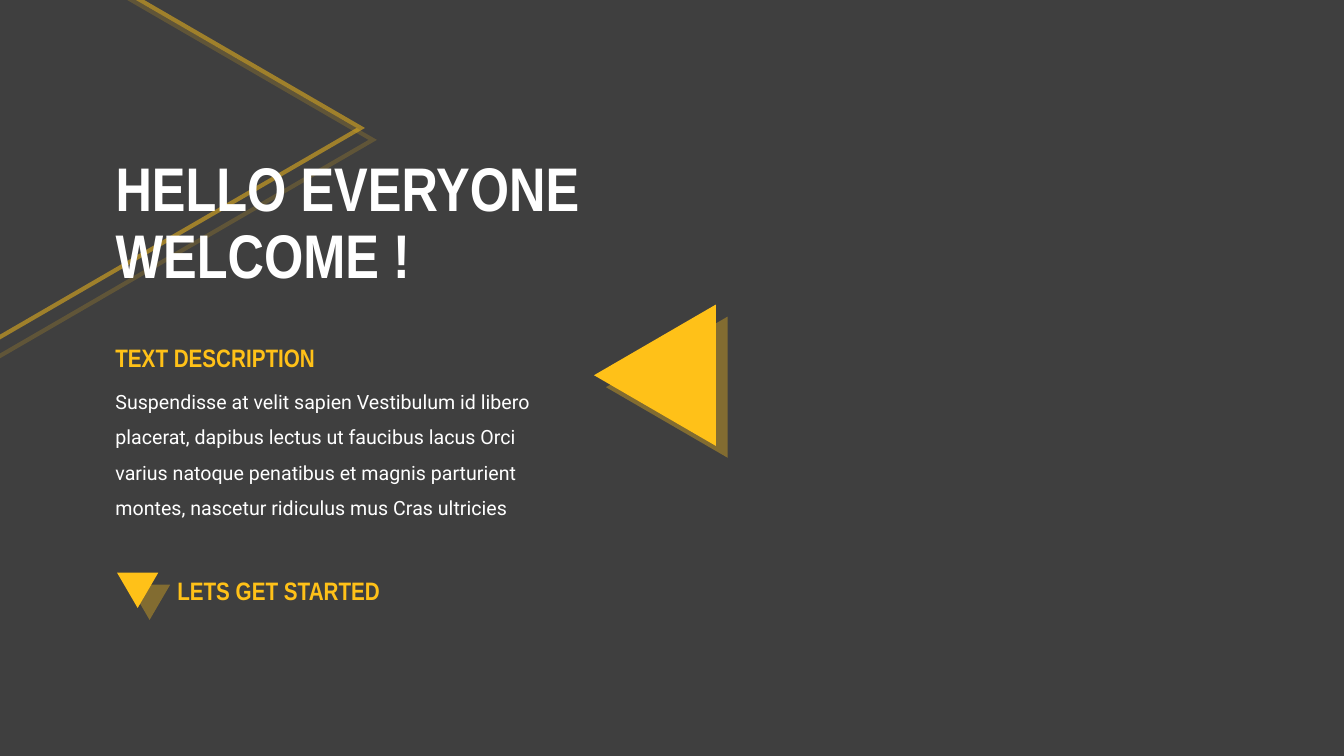
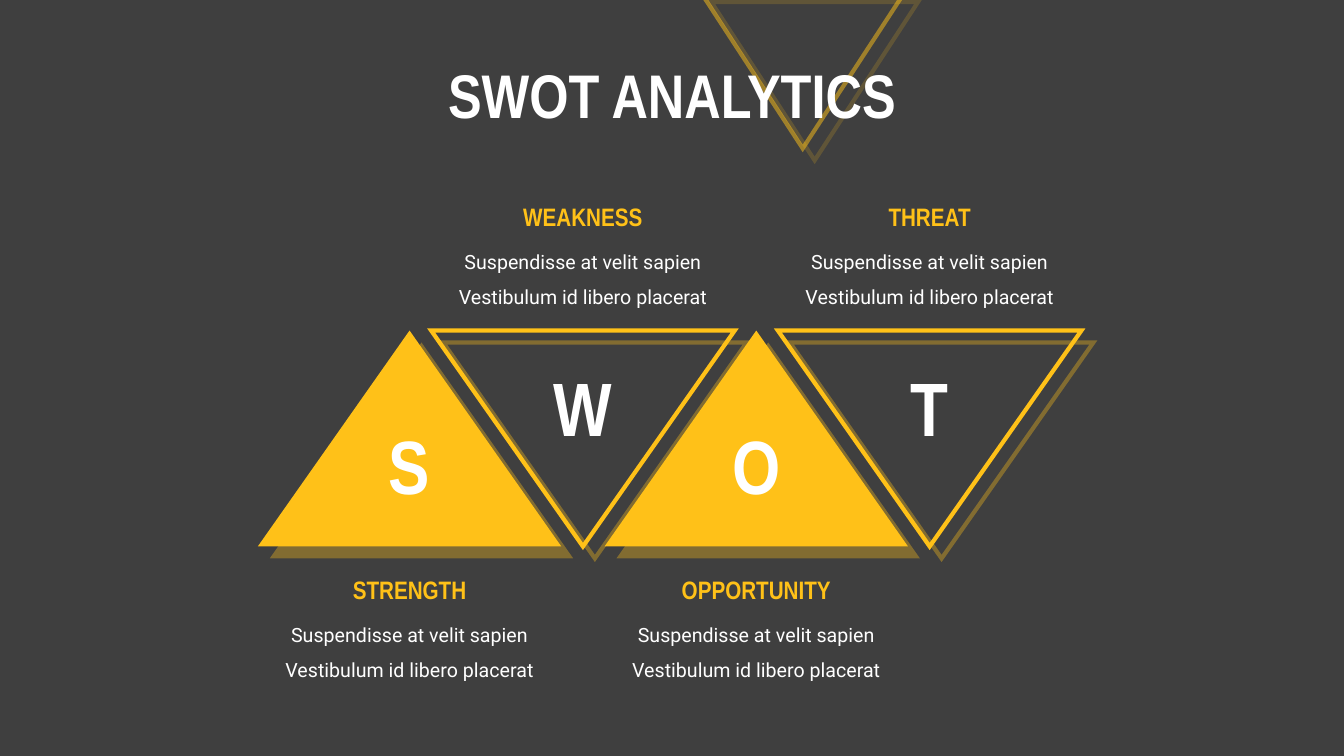
from lxml import etree
from pptx import Presentation
from pptx.dml.color import RGBColor
from pptx.enum.shapes import MSO_SHAPE
from pptx.enum.text import MSO_ANCHOR, MSO_AUTO_SIZE as AUTO, PP_ALIGN as ALIGN
from pptx.oxml import parse_xml
from pptx.oxml.ns import qn
from pptx.util import Cm, Pt

DARK = RGBColor(0x3F, 0x3F, 0x3F)
AMBER = RGBColor(0xFF, 0xC1, 0x18)
WHITE = RGBColor(0xFF, 0xFF, 0xFF)

# Text styles: font attributes, colour and line spacing
NARROW = {"name": "Arial Narrow", "bold": True}
TITLE = ({**NARROW, "size": Pt(44)}, WHITE, 0.9)
HEADING = ({**NARROW, "size": Pt(18)}, AMBER, 1.0)
LETTER = ({**NARROW, "size": Pt(54)}, WHITE, 1.0)
BODY = ({"name": "Roboto", "bold": False, "size": Pt(14)}, WHITE, 1.5)

HEADING_W, HEADING_H = 6.22, 1.02
SHADOW = (
    '<a:outerShdw xmlns:a="http://schemas.openxmlformats.org/drawingml/2006/main"'
    f' blurRad="0" dist="{Pt(12.1)}" dir="2700000" algn="tl" rotWithShape="0">'
    f'<a:srgbClr val="{AMBER}"><a:alpha val="35000"/></a:srgbClr></a:outerShdw>'
)


def write(tf, text, style, align):
    """Fill a text frame; a vertical tab in the text breaks the line."""
    fmt, color, spacing = style
    tf.word_wrap = True
    p = tf.paragraphs[0]
    p.text = text
    p.alignment = align
    p.line_spacing = spacing
    for r in p.runs:
        for key, value in fmt.items():
            setattr(r.font, key, value)
        r.font.color.rgb = color


def add_text(s, box, text, style, align):
    tf = s.shapes.add_textbox(*map(Cm, box)).text_frame
    write(tf, text, style, align)
    tf.auto_size = AUTO.SHAPE_TO_FIT_TEXT


def add_title(s, box, text, align):
    """Place the title placeholder in front of what is drawn so far."""
    title = s.shapes.title
    title.left, title.top, title.width, title.height = map(Cm, box)
    tf = title.text_frame
    write(tf, text, TITLE, align)
    tf.vertical_anchor = MSO_ANCHOR.MIDDLE
    tf.auto_size = AUTO.NONE
    title.element.getparent().append(title.element)


def add_triangle(s, box, rotation=0, filled=True, opacity=100):
    """Amber triangle, solid or outlined, with a hard offset shadow."""
    sp = s.shapes.add_shape(MSO_SHAPE.ISOSCELES_TRIANGLE, *map(Cm, box))
    sp.rotation = rotation
    if filled:
        sp.fill.solid()
        sp.fill.fore_color.rgb = AMBER
        sp.line.fill.background()
    else:
        sp.fill.background()
        sp.line.color.rgb = AMBER
        sp.line.width = Pt(3)
        ln = sp.element.spPr.find(qn("a:ln"))
        etree.SubElement(ln, qn("a:miter")).set("lim", "800000")
        if opacity < 100:
            color = ln.find(".//" + qn("a:srgbClr"))
            etree.SubElement(color, qn("a:alpha")).set("val", str(opacity * 1000))
    sp.shadow.inherit = False
    sp.element.spPr.find(qn("a:effectLst")).append(parse_xml(SHADOW))


def add_caption(s, box, heading, body, align, heading_h=HEADING_H):
    """Heading with body text below it, inside the given box."""
    left, top, width, height = box
    offset = (width - HEADING_W) / 2 if align == ALIGN.CENTER else 0
    body_top = 0.92
    add_text(s, (left, top + body_top, width, height - body_top), body, BODY, align)
    add_text(s, (left + offset, top, HEADING_W, heading_h), heading, HEADING, align)


def add_swot_part(s, box, word, body, upright):
    """Triangle with its letter, captioned on the side of its flat edge."""
    left, top, width, height = box
    add_triangle(s, box, 0 if upright else 180, filled=upright)
    letter_w = 2.56
    letter_top = top + (2.11 if upright else 0.63)
    add_text(s, (left + (width - letter_w) / 2, letter_top, letter_w, 2.54),
             word[0], LETTER, ALIGN.CENTER)
    caption_w, caption_h = 7.57, 2.95
    caption_top = top + height + 0.58 if upright else top - 0.43 - caption_h
    add_caption(s, (left + (width - caption_w) / 2, caption_top, caption_w, caption_h),
                word, body, ALIGN.CENTER)


def welcome_slide(s):
    left = 2.66
    add_triangle(s, (-1.32, -1.6, 11.18, 9.65), 90, filled=False, opacity=50)
    add_title(s, (left, 3.66, 19.05, 4.01), "HELLO EVERYONE\vWELCOME !", ALIGN.LEFT)
    add_triangle(s, (14.73, 7.92, 3.56, 3.07), 270)
    add_caption(
        s, (left, 8.49, 11.46, 4.73), "TEXT DESCRIPTION",
        "Suspendisse at velit sapien Vestibulum id libero placerat, dapibus lectus "
        "ut faucibus lacus Orci varius natoque penatibus et magnis parturient "
        "montes, nascetur ridiculus mus Cras ultricies", ALIGN.LEFT, heading_h=1.78)
    # Call to action
    add_triangle(s, (2.95, 14.43, 1.04, 0.89), 180)
    add_text(s, (4.22, 14.38, HEADING_W, HEADING_H), "LETS GET STARTED",
             HEADING, ALIGN.LEFT)


def swot_slide(s):
    add_triangle(s, (17.63, -0.25, 5.21, 3.99), 180, filled=False, opacity=50)
    add_title(s, (8.31, 1.24, 17.27, 2.49), "SWOT ANALYTICS", ALIGN.CENTER)
    left, top, width, height, step = 6.5, 8.33, 7.65, 5.44, 4.37
    for i, word in enumerate(("STRENGTH", "WEAKNESS", "OPPORTUNITY", "THREAT")):
        add_swot_part(s, (left + i * step, top, width, height), word,
                      "Suspendisse at velit sapien Vestibulum id libero placerat",
                      upright=i % 2 == 0)


def main():
    prs = Presentation()
    prs.slide_width, prs.slide_height = Cm(33.88), Cm(19.05)
    fill = prs.slide_master.background.fill
    fill.solid()
    fill.fore_color.rgb = DARK
    for build in (welcome_slide, swot_slide):
        build(prs.slides.add_slide(prs.slide_layouts[5]))
    prs.save("out.pptx")


if __name__ == "__main__":
    main()
